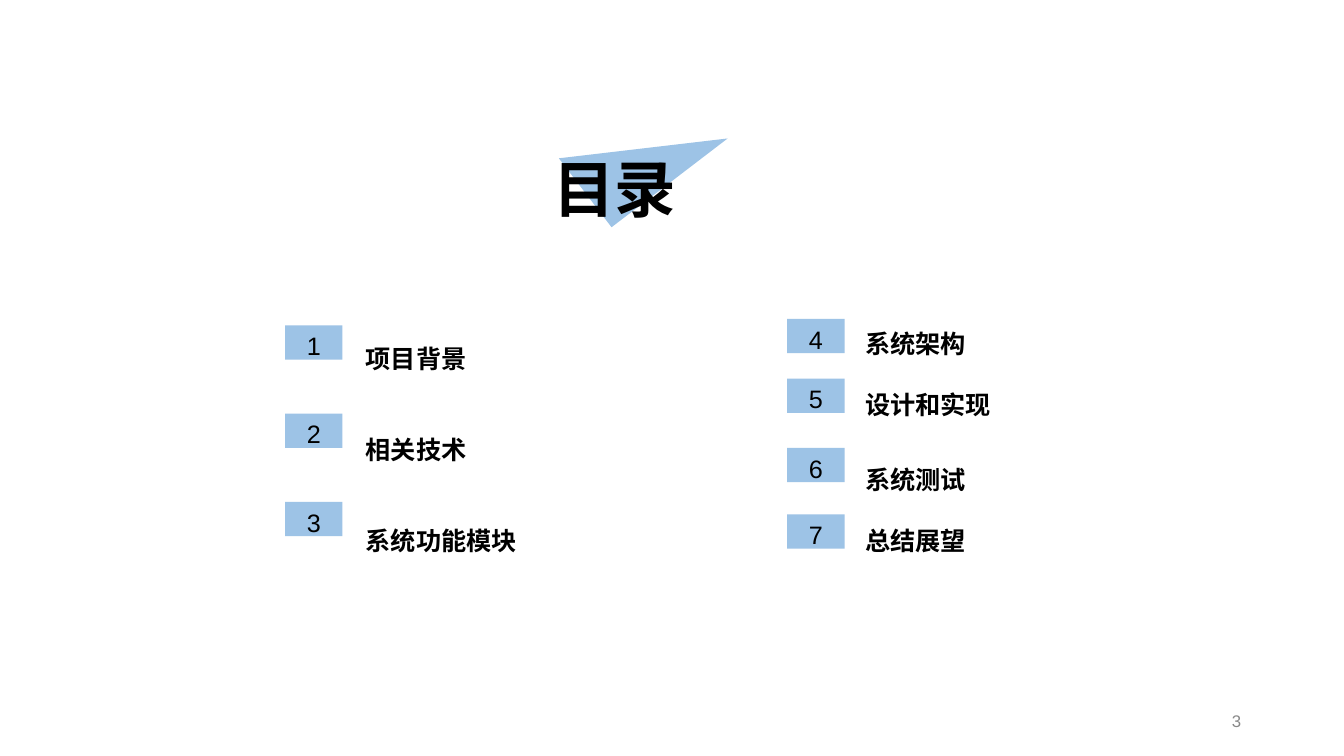
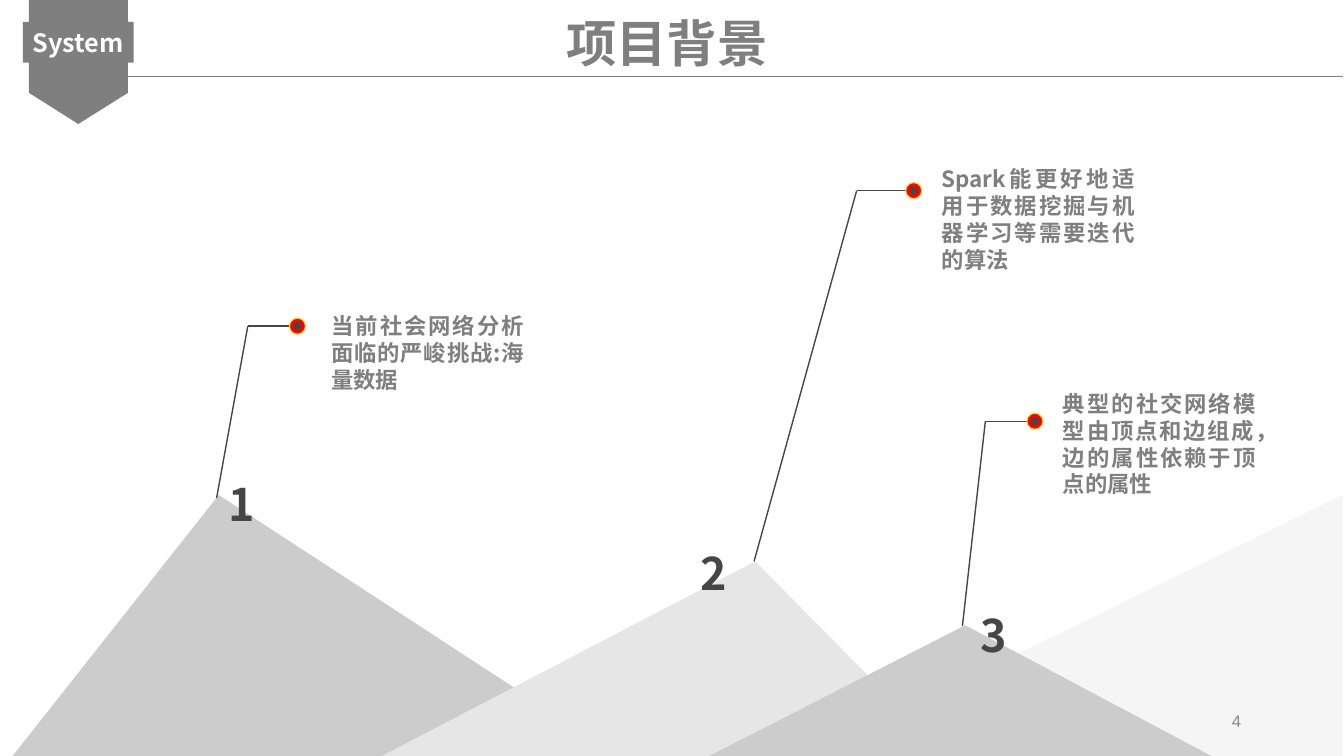
from lxml.etree import SubElement
from pptx import Presentation
from pptx.dml.color import RGBColor
from pptx.enum.shapes import MSO_CONNECTOR as Connector, MSO_SHAPE as Shape
from pptx.enum.text import MSO_ANCHOR as Anchor, PP_ALIGN as Align
from pptx.oxml.ns import qn
from pptx.util import Pt

# Shared style
BLACK = RGBColor(0x00, 0x00, 0x00)
WHITE = RGBColor(0xFF, 0xFF, 0xFF)
BLUE = RGBColor(0x9D, 0xC3, 0xE6)
GRAY = RGBColor(0x7F, 0x7F, 0x7F)
DARK = RGBColor(0x46, 0x46, 0x46)
NUMBER_GRAY = RGBColor(0x89, 0x89, 0x89)
RED = RGBColor(0xFE, 0x00, 0x00)
YELLOW = RGBColor(0xFF, 0xE5, 0x1E)
SILVER = RGBColor(0xCC, 0xCC, 0xCC)
LIGHT = RGBColor(0xE7, 0xE6, 0xE6)
PALE = RGBColor(0xF5, 0xF5, 0xF5)
HEAD_FONT = "Noto Sans CJK SC"
PLAIN_FONT = "Arial"


class Deck:
    """Holds the presentation, its style and the current slide."""

    def __init__(self, width, height):
        self.presentation = Presentation()
        self.presentation.slide_width = Pt(width)
        self.presentation.slide_height = Pt(height)
        self.slide = None

    def new_slide(self):
        self.slide = self.presentation.slides.add_slide(
            self.presentation.slide_layouts[6])

    def paint(self, shape, fill, line=None):
        shape.shadow.inherit = False
        shape.fill.solid()
        shape.fill.fore_color.rgb = fill
        if line is None:
            shape.line.fill.background()
        else:
            shape.line.color.rgb = line
            shape.line.width = Pt(0.75)
        return shape

    def shape(self, kind, box, fill, line=None):
        shape = self.slide.shapes.add_shape(kind, *map(Pt, box))
        return self.paint(shape, fill, line)

    def outline(self, points, fill):
        start, *rest = [(Pt(x), Pt(y)) for x, y in points]
        builder = self.slide.shapes.build_freeform(*start)
        builder.add_line_segments(rest, close=True)
        return self.paint(builder.convert_to_shape(), fill)

    def line(self, start, end, color, width):
        connector = self.slide.shapes.add_connector(
            Connector.STRAIGHT, *map(Pt, (*start, *end)))
        connector.line.color.rgb = color
        connector.line.width = Pt(width)
        SubElement(connector._element.spPr, qn("a:effectLst"))

    def fill_text(self, shape, lines, size, color, font=HEAD_FONT, bold=True,
                  align=Align.LEFT, anchor=Anchor.TOP, spacing=(), margin=3.6,
                  wrap=True):
        frame = shape.text_frame
        frame.text = "\n".join(lines)
        frame.word_wrap = wrap
        frame.vertical_anchor = anchor
        frame.margin_left = frame.margin_right = Pt(7.2)
        frame.margin_top = frame.margin_bottom = Pt(margin)
        for paragraph in frame.paragraphs:
            paragraph.alignment = align
            for run in paragraph.runs:
                run.font.size = Pt(size)
                run.font.bold = bold
                run.font.color.rgb = color
                run.font.name = font
                SubElement(run.font._element, qn("a:ea"), typeface=font)
        for paragraph, factor in zip(frame.paragraphs, spacing):
            paragraph.line_spacing = factor

    def text(self, box, lines, size, color, **style):
        shape = self.slide.shapes.add_textbox(*map(Pt, box))
        self.fill_text(shape, lines, size, color, **style)

    def badge(self, left, top, number):
        shape = self.shape(Shape.RECTANGLE, (left, top, 41, 24.5), BLUE)
        self.fill_text(shape, [str(number)], 18, BLACK, font=PLAIN_FONT,
                       bold=False, align=Align.CENTER)

    def mountain(self, box, peak, fill):
        self.shape(Shape.ISOSCELES_TRIANGLE, box, fill).adjustments[0] = peak

    def disc(self, center, size, fill, line):
        x, y = center
        self.shape(Shape.OVAL, (x - size / 2, y - size / 2, size, size),
                   fill, line)

    def pin(self, peak, elbow, dot_x):
        dot = (dot_x, elbow[1])
        self.line(elbow, dot, DARK, 1)
        self.line(peak, elbow, DARK, 1)
        self.disc(dot, 11.5, RED, YELLOW)
        self.disc(dot, 5, DARK, DARK)

    def page_number(self, number):
        self.text((678.2, 500.4, 216, 28.8), [str(number)], 12, NUMBER_GRAY,
                  font=PLAIN_FONT, bold=False, align=Align.RIGHT,
                  anchor=Anchor.MIDDLE)


def contents_slide(deck):
    deck.new_slide()

    # Title on a tilted triangle
    triangle = deck.shape(Shape.RIGHT_TRIANGLE, (407.5, 75, 104.4, 62), BLUE)
    triangle.rotation = 322.6
    deck.text((304.6, 85, 269.3, 104.4), ["目录"], 44, BLACK,
              align=Align.CENTER, anchor=Anchor.MIDDLE, spacing=[0.9])

    # Two columns: text box, lines, line spacing, badge left, badge tops
    columns = [
        ((254.2, 198.7, 218, 201.6), ["项目背景", "相关技术", "系统功能模块"],
         [3.0, 3.0, 3.0], 203.8, [232.5, 295.5, 358.5]),
        ((611.3, 209.5, 340, 190.8),
         ["系统架构", "设计和实现", "系统测试", "总结展望"],
         [2.0, 2.0, 2.5, 2.0], 562.6, [227.8, 270.5, 320, 367.5]),
    ]
    number = 0
    for box, lines, spacing, left, tops in columns:
        deck.text(box, lines, 18, BLACK, spacing=spacing)
        for top in tops:
            number += 1
            deck.badge(left, top, number)
    deck.page_number(3)


def background_slide(deck):
    deck.new_slide()

    # Ribbon, heading and rule
    deck.outline([(20.7, 0), (91.5, 0), (91.5, 66.3), (56, 88.6),
                  (20.7, 66.3)], GRAY)
    label = deck.shape(Shape.RECTANGLE, (16.4, 15.7, 79.2, 29), GRAY)
    deck.fill_text(label, ["System"], 18, WHITE, align=Align.CENTER,
                   wrap=False)
    deck.text((131, 5, 691.2, 50.4), ["项目背景"], 36, GRAY,
              align=Align.CENTER)
    deck.line((90, 54.6), (960, 54.6), GRAY, 0.5)

    # Mountains, from back to front
    for box, peak, fill in [
        ((476.6, 353.6, 483, 236), 1, PALE),
        ((-30.2, 353.6, 548.6, 236), 0.34, SILVER),
        ((177.1, 401, 549.4, 189), 0.66, LIGHT),
        ((409.7, 446.6, 549.4, 143), 0.51, SILVER),
    ]:
        deck.mountain(box, peak, fill)

    # Pins: peak, elbow, dot, number place, note place, note
    pins = [
        ((154.8, 355.7), (177.1, 233), 212.6, (156.2, 337), (229.7, 223.2),
         "当前社会网络分析面临的严峻挑战:海量数据"),
        ((538.9, 401), (612.2, 136.2), 653, (493.2, 385.9), (666, 118),
         "Spark能更好地适用于数据挖掘与机器学习等需要迭代的算法"),
        ((687.8, 447.1), (704.2, 300.9), 739.6, (693.4, 430.6), (752.6, 278.6),
         "典型的社交网络模型由顶点和边组成，边的属性依赖于顶点的属性"),
    ]
    for number, pin in enumerate(pins, 1):
        peak, elbow, dot_x, number_place, note_place, note = pin
        deck.pin(peak, elbow, dot_x)
        deck.text((*number_place, 129, 46), [str(number)], 32, DARK)
        deck.text((*note_place, 152, 136.8), [note], 16, GRAY,
                  align=Align.JUSTIFY, margin=0)
    deck.page_number(4)


def main():
    deck = Deck(960.5, 540)
    contents_slide(deck)
    background_slide(deck)
    deck.presentation.save("out.pptx")


if __name__ == "__main__":
    main()
